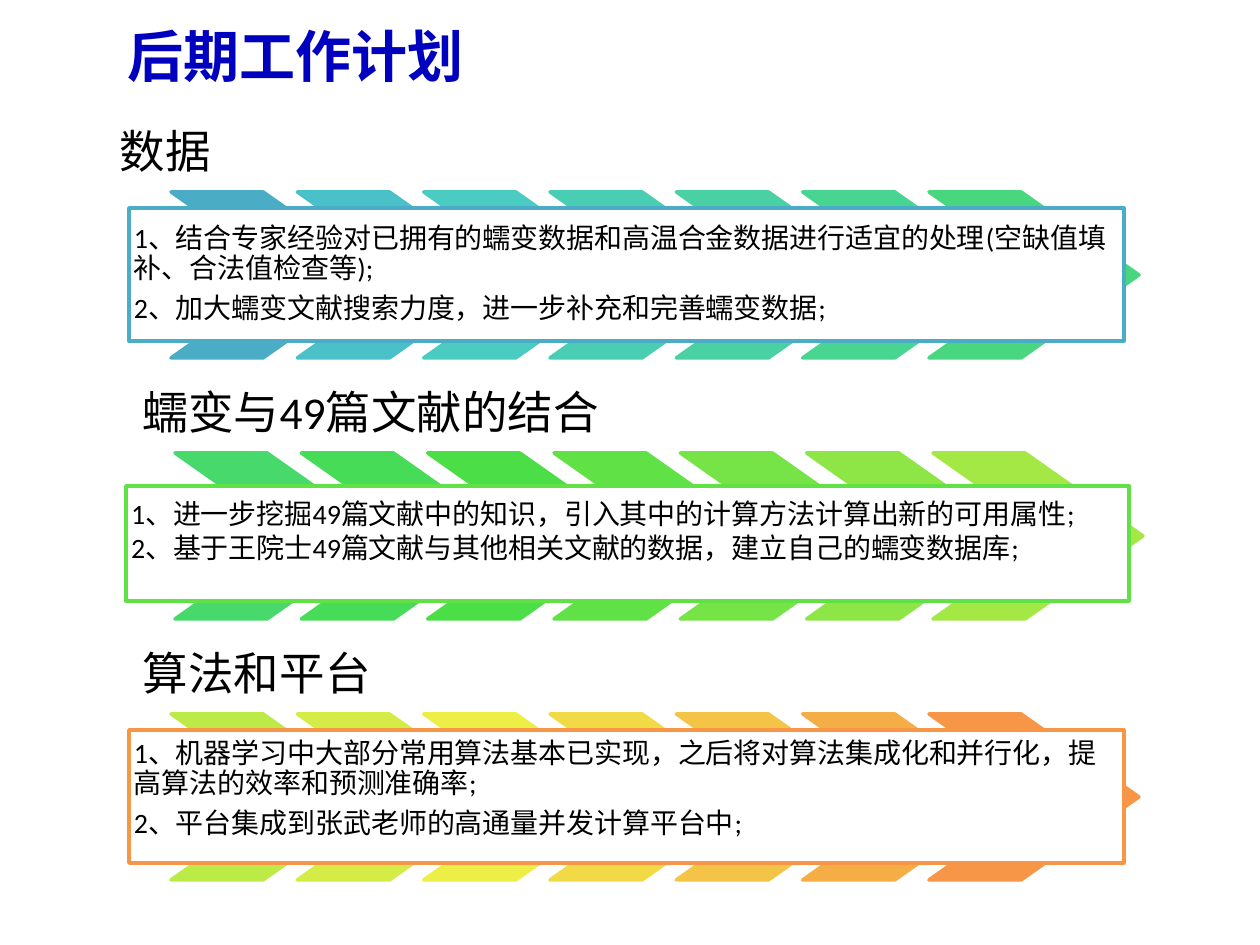
from pptx import Presentation
from pptx import util as u
from pptx.dml.color import RGBColor
from pptx.enum import shapes, text

PX = 914400 / 126  # EMU in one px
BLACK = RGBColor(0, 0, 0)
WHITE = RGBColor(255, 255, 255)
TITLE_BLUE = RGBColor(0x00, 0x00, 0xBF)
BODY_FONT, TITLE_FONT = "Calibri", "Noto Sans CJK SC"

TITLE = "后期工作计划"
SECTIONS = [
    dict(
        heading="数据", heading_left=106, arrows_left=171,
        arrows="4BACC6 4AC0C9 4ACCC3 49CEB3 49D1A3 48D491 48D77E",
        box=(129, 208, 995, 133), outline="4BACC6",
        plans=["1、结合专家经验对已拥有的蠕变数据和高温合金数据进行适宜的处理(空缺值填补、合法值检查等);",
               "2、加大蠕变文献搜索力度，进一步补充和完善蠕变数据;"],
        line_spacing=0.9, gap=5.6, bottom_inset=5),
    dict(
        heading="蠕变与49篇文献的结合", heading_left=129, arrows_left=175,
        arrows="47D96B 47DC57 4BDE47 60E146 76E346 8DE646 A4E846",
        box=(126, 486, 1003, 115), outline="60E146",
        plans=["1、进一步挖掘49篇文献中的知识，引入其中的计算方法计算出新的可用属性;",
               "2、基于王院士49篇文献与其他相关文献的数据，建立自己的蠕变数据库;"],
        line_spacing=1.0, gap=0, bottom_inset=31),
    dict(
        heading="算法和平台", heading_left=129, arrows_left=171,
        arrows="BCEA46 D5EC46 EEEF46 F1DA46 F3C446 F5AD46 F79646",
        box=(129, 730, 995, 133), outline="F79646",
        plans=["1、机器学习中大部分常用算法基本已实现，之后将对算法集成化和并行化，提高算法的效率和预测准确率;",
               "2、平台集成到张武老师的高通量并发计算平台中;"],
        line_spacing=0.9, gap=5.6, bottom_inset=19),
]
SECTION_TOP, SECTION_PITCH = 110, 261
HEADING_W, HEADING_H = 898, 82
ARROW_W, ARROW_H, ARROWS_SPAN = 210, 166, 758


def px(*lengths):
    return [u.Emu(round(length * PX)) for length in lengths]


def set_insets(frame, left, top, right, bottom):
    (frame.margin_left, frame.margin_top,
     frame.margin_right, frame.margin_bottom) = px(left, top, right, bottom)


def style(paragraph, size, color, name=BODY_FONT, bold=False):
    paragraph.alignment = text.PP_ALIGN.LEFT
    font = paragraph.font
    font.size, font.name, font.bold = u.Pt(size), name, bold
    font.color.rgb = color


def add_filled(slide, kind, bounds, fill, outline):
    shape = slide.shapes.add_shape(kind, *px(*bounds))
    shape.shadow.inherit = False
    shape.fill.solid()
    shape.fill.fore_color.rgb = fill
    shape.line.color.rgb = outline
    shape.line.width = u.Pt(2)
    return shape


def add_heading(slide, section, top):
    heading = slide.shapes.add_textbox(
        *px(section["heading_left"], top, HEADING_W, HEADING_H))
    frame = heading.text_frame
    frame.word_wrap = True
    frame.vertical_anchor = text.MSO_ANCHOR.BOTTOM
    set_insets(frame, 14, 14, 14, 14)
    frame.text = section["heading"]
    frame.paragraphs[0].line_spacing = 0.9
    style(frame.paragraphs[0], 26, BLACK)


def add_arrows(slide, section, top):
    colors = section["arrows"].split()
    step = ARROWS_SPAN / (len(colors) - 1)
    for i, color in enumerate(map(RGBColor.from_string, colors)):
        bounds = (section["arrows_left"] + i * step, top, ARROW_W, ARROW_H)
        arrow = add_filled(slide, shapes.MSO_SHAPE.CHEVRON, bounds, color, color)
        arrow.adjustments[0] = 0.71


def add_plans(slide, section):
    box = add_filled(slide, shapes.MSO_SHAPE.RECTANGLE, section["box"], WHITE,
                     RGBColor.from_string(section["outline"]))
    frame = box.text_frame
    frame.word_wrap = True
    frame.vertical_anchor = text.MSO_ANCHOR.MIDDLE
    set_insets(frame, 5, 5, 5, section["bottom_inset"])
    frame.text = "\n".join(section["plans"])
    for i, plan in enumerate(frame.paragraphs):
        plan.line_spacing = section["line_spacing"]
        if i:
            plan.space_before = u.Pt(section["gap"])
        style(plan, 16, BLACK)


def main():
    deck = Presentation()
    deck.slide_width, deck.slide_height = px(1260, 945)
    slide = deck.slides.add_slide(deck.slide_layouts.get_by_name("Title Only"))

    title = slide.shapes.title
    title.left, title.top, title.width, title.height = px(115, 0, 1134, 110)
    title.text_frame.text = TITLE
    title.text_frame.vertical_anchor = text.MSO_ANCHOR.MIDDLE
    style(title.text_frame.paragraphs[0], 32, TITLE_BLUE, TITLE_FONT, True)

    for i, section in enumerate(SECTIONS):
        top = SECTION_TOP + i * SECTION_PITCH
        add_heading(slide, section, top)
        add_arrows(slide, section, top + HEADING_H)
        add_plans(slide, section)

    deck.save("out.pptx")


if __name__ == "__main__":
    main()
